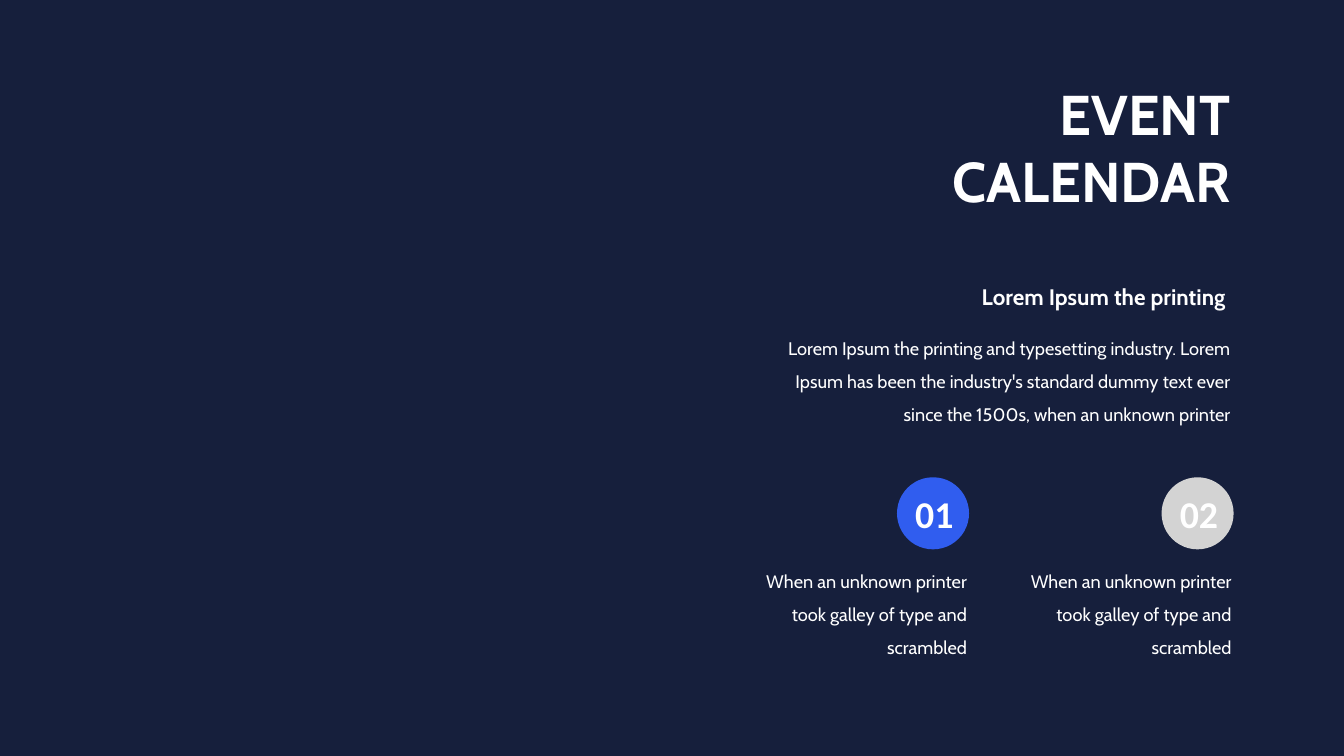
from pptx import Presentation
from pptx.dml.color import RGBColor
from pptx.enum.shapes import MSO_SHAPE
from pptx.enum.text import MSO_ANCHOR, MSO_AUTO_SIZE, PP_ALIGN
from pptx.util import Inches, Pt

OVAL = MSO_SHAPE.OVAL
TOP, MIDDLE = MSO_ANCHOR.TOP, MSO_ANCHOR.MIDDLE
NO_FIT = MSO_AUTO_SIZE.NONE
RIGHT = PP_ALIGN.RIGHT

NAVY, BLUE, GREY, WHITE = "161F3C", "305DEF", "D3D3D3", "FFFFFF"
HEADING_FONT, NUMBER_FONT = "Cabin", "Calibri"

COLUMN_LEFT, COLUMN_PITCH, COLUMN_WIDTH = 14.67, 5.25, 4.62
BADGE_INDENT, BADGE_TOP, BADGE_SIZE = 3.13, 9.47, 1.43
CAPTION_TOP, CAPTION_HEIGHT = 11.06, 2.17

INTRO_HEADING = "Lorem Ipsum the printing "
INTRO = ("Lorem Ipsum the printing and typesetting industry. Lorem Ipsum has been "
         "the industry's standard dummy text ever since the 1500s, "
         "when an unknown printer")
CAPTION = "When an unknown printer took galley of type and scrambled"
EVENTS = [("01", BLUE, CAPTION), ("02", GREY, CAPTION)]


def paint(fill, color):
    fill.solid()
    fill.fore_color.rgb = RGBColor.from_string(color)


def format_paragraph(para, size, bold=False, font=HEADING_FONT):
    para.alignment = RIGHT
    for span in para.runs:
        span.font.name = font
        span.font.size = Pt(size)
        span.font.bold = bold
        span.font.color.rgb = RGBColor.from_string(WHITE)


def add_title(page, text, left, top, width, height):
    title = page.shapes.title
    title.left, title.top = Inches(left), Inches(top)
    title.width, title.height = Inches(width), Inches(height)
    frame = title.text_frame
    frame.text = text
    frame.auto_size = NO_FIT
    frame.vertical_anchor = TOP
    format_paragraph(frame.paragraphs[0], 80, bold=True)


def add_copy(shapes, lines, left, top, width, height):
    """Add a right-aligned text box; lines holds (text, size, bold)."""
    box = shapes.add_textbox(Inches(left), Inches(top), Inches(width), Inches(height))
    frame = box.text_frame
    frame.word_wrap = True
    frame.text = "\n".join(text for text, _, _ in lines)
    for index, (para, (_, size, bold)) in enumerate(zip(frame.paragraphs, lines)):
        para.line_spacing = 1.5
        para.space_before = Pt(24 if index else 0)
        format_paragraph(para, size, bold)


def add_badge(shapes, number, color, left):
    badge = shapes.add_shape(OVAL, Inches(left), Inches(BADGE_TOP),
                             Inches(BADGE_SIZE), Inches(BADGE_SIZE))
    badge.shadow.inherit = False
    paint(badge.fill, color)
    badge.line.fill.background()
    frame = badge.text_frame
    frame.text = number
    frame.vertical_anchor = MIDDLE
    format_paragraph(frame.paragraphs[0], 54, bold=True, font=NUMBER_FONT)


def add_event(page, column, number, color, caption):
    left = COLUMN_LEFT + column * COLUMN_PITCH
    shapes = page.shapes.add_group_shape().shapes
    add_badge(shapes, number, color, left + BADGE_INDENT)
    add_copy(shapes, [(caption, 26, False)],
             left, CAPTION_TOP, COLUMN_WIDTH, CAPTION_HEIGHT)


def main():
    deck = Presentation()
    deck.slide_width, deck.slide_height = Inches(26.67), Inches(15)
    page = deck.slides.add_slide(deck.slide_layouts.get_by_name("Title Only"))
    paint(page.background.fill, NAVY)

    add_title(page, "EVENT\vCALENDAR", 14.98, 1.52, 9.54, 2.52)
    add_copy(page.shapes, [(INTRO_HEADING, 32, True), (INTRO, 26, False)],
             14.83, 5.3, 9.69, 3.51)
    for column, event in enumerate(EVENTS):
        add_event(page, column, *event)

    deck.save("out.pptx")


if __name__ == "__main__":
    main()
